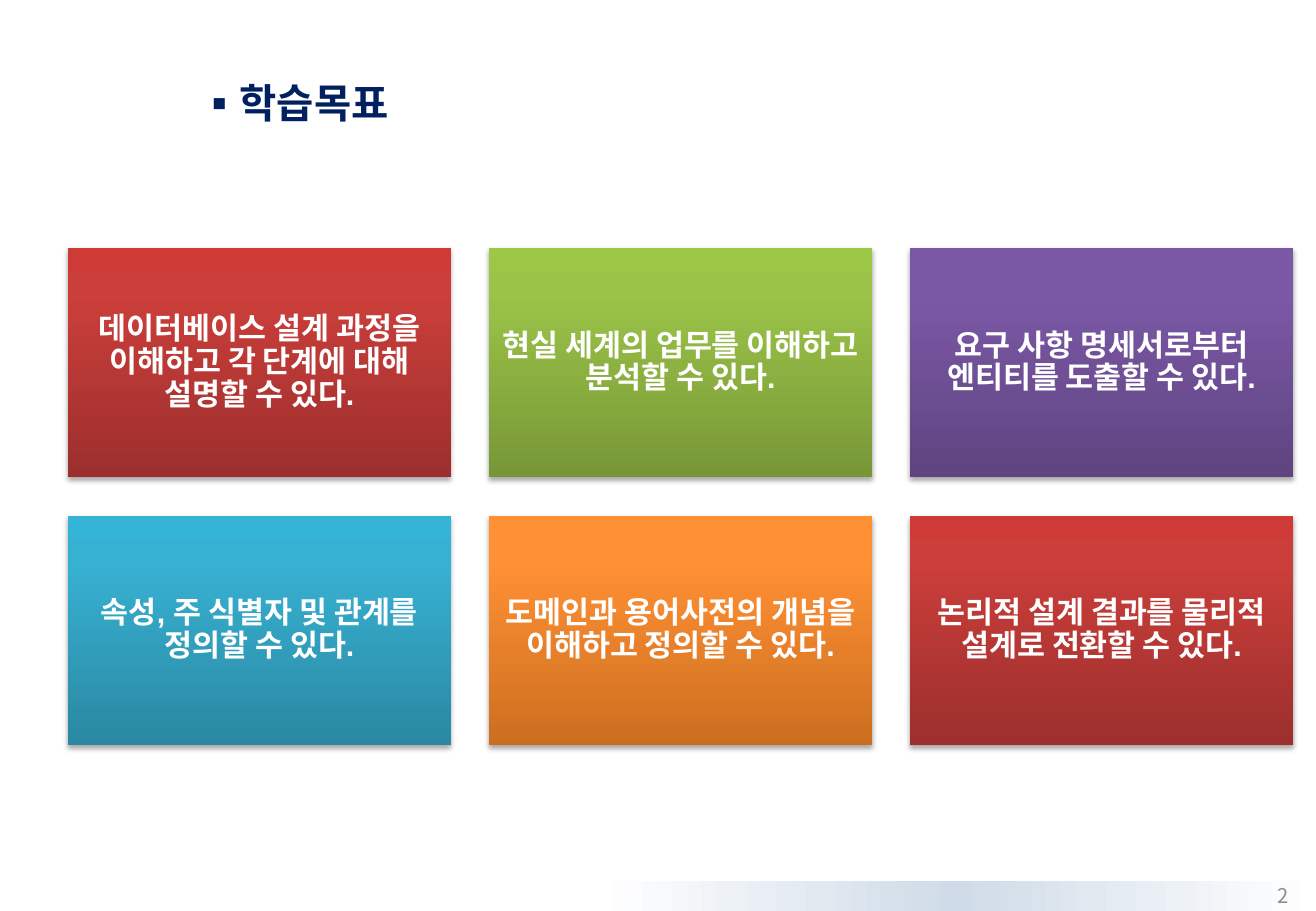
import lxml.etree
import pptx
import pptx.dml.color
import pptx.enum.shapes
import pptx.enum.text
import pptx.oxml.ns
import pptx.util

qn = pptx.oxml.ns.qn
Inches = pptx.util.Inches
Pt = pptx.util.Pt
Align = pptx.enum.text.PP_ALIGN
Anchor = pptx.enum.text.MSO_ANCHOR
RECTANGLE = pptx.enum.shapes.MSO_SHAPE.RECTANGLE

KOREAN_FONT = "Noto Sans CJK KR"
COLORS = {"title": "002060", "page": "8C8C8C", "card_text": "FFFFFF",
          "shadow": "000000", "band": "CFDBE8", "band_edge": "FFFFFF"}
# Card gradients run from bottom to top.
CARD_GRADIENTS = {
    "red": ("9C2F2D", "CB3E3A", "CE3B37"),
    "green": ("779737", "9BC348", "9DC746"),
    "purple": ("5F4480", "7B58A6", "7C57A8"),
    "blue": ("2A88A2", "37B1D2", "34B4D6"),
    "orange": ("CC6E20", "FF9034", "FF9136"),
}
GOALS = [
    ("red", "데이터베이스 설계 과정을 이해하고 각 단계에 대해 설명할 수 있다."),
    ("green", "현실 세계의 업무를 이해하고 분석할 수 있다."),
    ("purple", "요구 사항 명세서로부터 엔티티를 도출할 수 있다."),
    ("blue", "속성, 주 식별자 및 관계를 정의할 수 있다."),
    ("orange", "도메인과 용어사전의 개념을 이해하고 정의할 수 있다."),
    ("red", "논리적 설계 결과를 물리적 설계로 전환할 수 있다."),
]


def add_gradient_rectangle(left, top, width, height, stops, angle):
    """Add a borderless rectangle; stops are (percent, colour) pairs."""
    shape = slide.shapes.add_shape(
        RECTANGLE, Inches(left), Inches(top), Inches(width), Inches(height))
    shape.shadow.inherit = False
    shape.line.fill.background()
    shape.fill.gradient()
    shape.fill.gradient_angle = angle
    stop_list = shape._element.spPr.find(qn("a:gradFill")).find(qn("a:gsLst"))
    for old_stop in list(stop_list):
        stop_list.remove(old_stop)
    for percent, color in stops:
        stop = lxml.etree.SubElement(stop_list, qn("a:gs"), pos=str(percent * 1000))
        lxml.etree.SubElement(stop, qn("a:srgbClr"), val=color)
    return shape


def write_text(shape, text, size, color, bold, alignment, anchor, font_name=KOREAN_FONT):
    frame = shape.text_frame
    frame.word_wrap = True
    frame.vertical_anchor = anchor
    frame.text = text
    paragraph = frame.paragraphs[0]
    paragraph.alignment = alignment
    run = paragraph.runs[0]
    run.font.size = Pt(size)
    run.font.bold = bold
    run.font.color.rgb = pptx.dml.color.RGBColor.from_string(color)
    run.font.name = font_name
    lxml.etree.SubElement(run.font._element, qn("a:ea"), typeface=KOREAN_FONT)
    return paragraph


presentation = pptx.Presentation()
presentation.slide_width = Inches(10.83)
presentation.slide_height = Inches(7.5)
slide = presentation.slides.add_slide(presentation.slide_layouts[6])

# Footer band and page number
footer_top, footer_height = 7.25, 0.25
add_gradient_rectangle(
    4.91, footer_top, 5.92, footer_height,
    [(0, COLORS["band_edge"]), (50, COLORS["band"]), (100, COLORS["band_edge"])], 0)
page_number = slide.shapes.add_textbox(
    Inches(8.17), Inches(footer_top), Inches(2.53), Inches(footer_height))
write_text(page_number, "2", 12, COLORS["page"], False, Align.RIGHT, Anchor.MIDDLE)

# Title
title = slide.shapes.add_textbox(Inches(1.54), Inches(0.63), Inches(7.71), Inches(0.46))
title_paragraph = write_text(
    title, "학습목표", 24, COLORS["title"], True, Align.LEFT, Anchor.BOTTOM)
title_properties = title_paragraph._p.get_or_add_pPr()
title_properties.set("marL", "0")
title_properties.set("indent", "0")
lxml.etree.SubElement(title_properties, qn("a:buFont"), typeface=KOREAN_FONT)
lxml.etree.SubElement(title_properties, qn("a:buChar"), char="▪")

# Goal cards: three columns, gaps of a tenth of the card width
columns = 3
grid_left, grid_top = 0.56, 2.04
card_width = 3.15
card_height = card_width * 0.6
gap = card_width * 0.1
for index, (color_name, goal) in enumerate(GOALS):
    row, column = divmod(index, columns)
    card = add_gradient_rectangle(
        grid_left + column * (card_width + gap),
        grid_top + row * (card_height + gap),
        card_width, card_height,
        list(zip((0, 80, 100), CARD_GRADIENTS[color_name])), 90)
    effects = card._element.spPr.find(qn("a:effectLst"))
    shadow = lxml.etree.SubElement(
        effects, qn("a:outerShdw"), blurRad=str(Pt(3.1)), dist=str(Pt(1.8)),
        dir="5400000", rotWithShape="0")
    shadow_color = lxml.etree.SubElement(shadow, qn("a:srgbClr"), val=COLORS["shadow"])
    lxml.etree.SubElement(shadow_color, qn("a:alpha"), val="35000")
    frame = card.text_frame
    frame.margin_left = frame.margin_right = Inches(0.07)
    frame.margin_top = frame.margin_bottom = Inches(0.07)
    paragraph = write_text(card, goal, 18, COLORS["card_text"], True,
                           Align.CENTER, Anchor.MIDDLE, "Arial")
    paragraph.line_spacing = 0.9

presentation.save("out.pptx")
